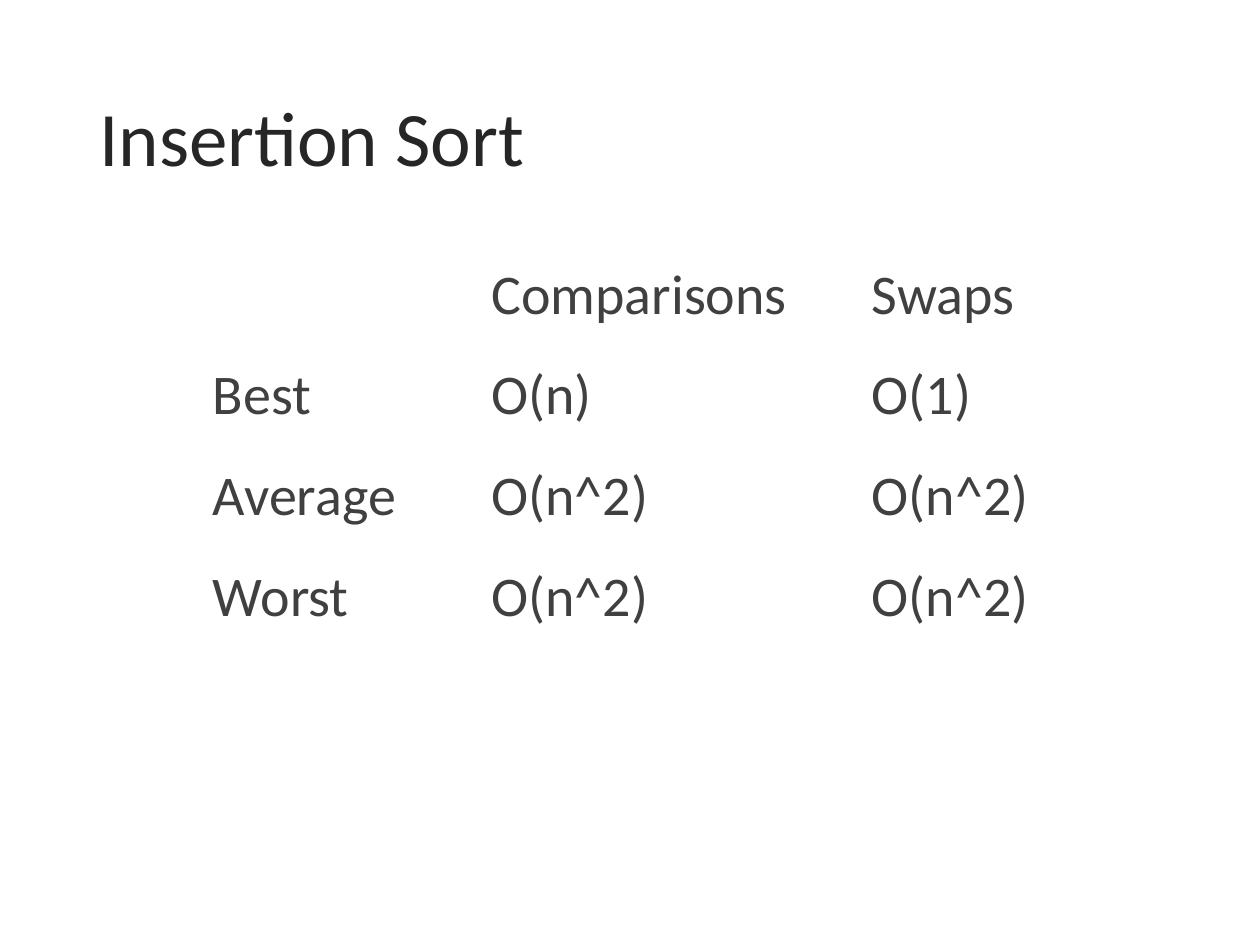
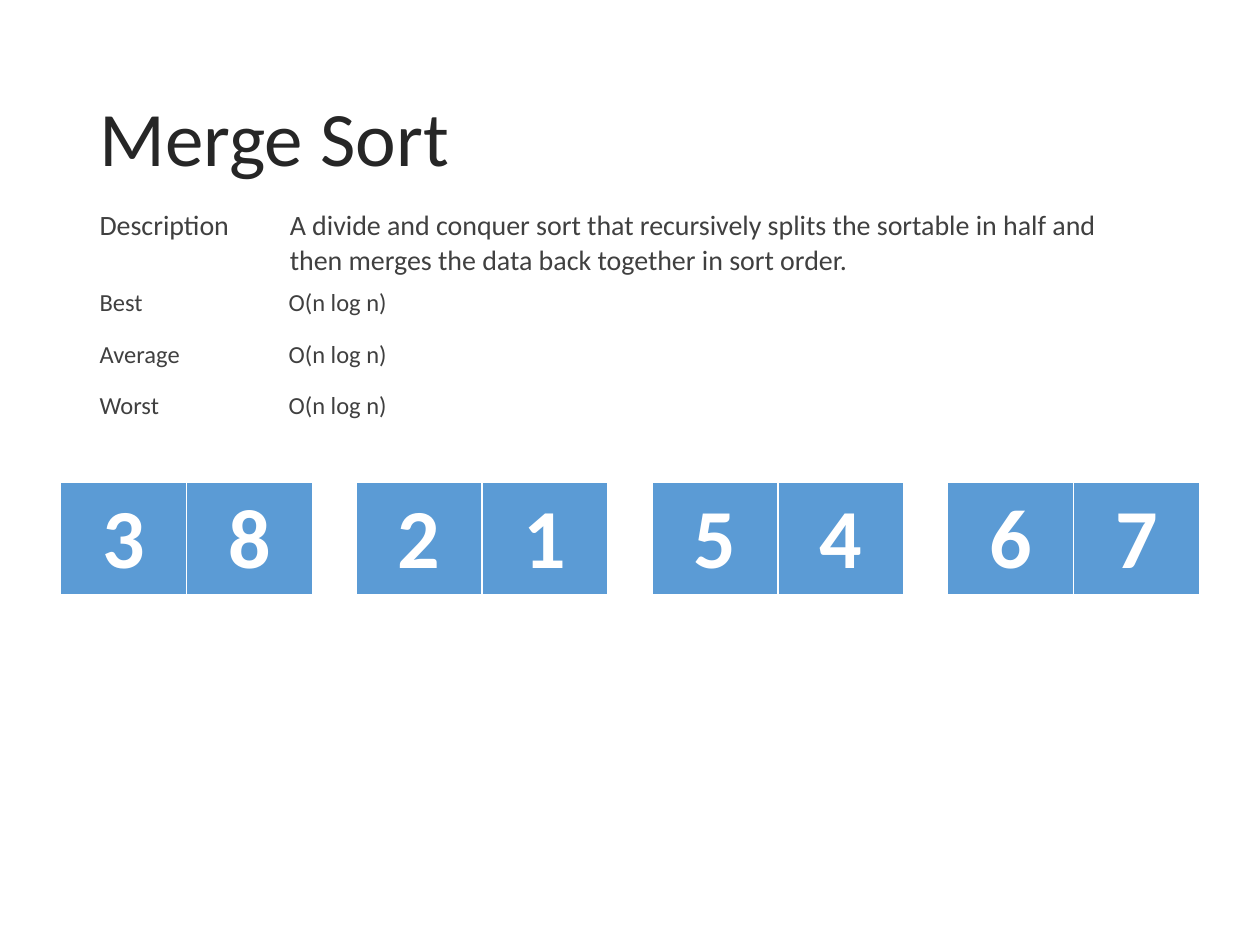
import pptx
import pptx.dml.color
import pptx.enum.text
import pptx.oxml
import pptx.oxml.ns
import pptx.util

INK = pptx.dml.color.RGBColor(0x26, 0x26, 0x26)
GREY = pptx.dml.color.RGBColor(0x40, 0x40, 0x40)
BLUE = pptx.dml.color.RGBColor(0x5B, 0x9B, 0xD5)
WHITE = pptx.dml.color.RGBColor(0xFF, 0xFF, 0xFF)

COLUMNS, ROWS = 100, 75
MARGIN = 6.9
CENTER = pptx.enum.text.PP_ALIGN.CENTER
BORDERS = (("lnL", 1), ("lnR", 1), ("lnT", 1), ("lnB", 3))


class SortDeck:
    font_name = "Calibri"

    def __init__(self):
        self.deck = pptx.Presentation()
        self.deck.slide_width = pptx.util.Inches(10)
        self.deck.slide_height = pptx.util.Inches(7.5)
        self.page = None

    def across(self, columns):
        return round(self.deck.slide_width * columns / COLUMNS)

    def down(self, rows):
        return round(self.deck.slide_height * rows / ROWS)

    def style(self, paragraph, size, color, bold=False):
        paragraph.font.name = self.font_name
        paragraph.font.size = pptx.util.Pt(size)
        paragraph.font.color.rgb = color
        paragraph.font.bold = bold

    def add_page(self, title):
        self.page = self.deck.slides.add_slide(self.deck.slide_layouts[6])
        box = self.page.shapes.add_textbox(
            self.across(MARGIN), self.down(4), self.across(86.2), self.down(14.5))
        frame = box.text_frame
        frame.word_wrap = True
        frame.vertical_anchor = pptx.enum.text.MSO_ANCHOR.MIDDLE
        paragraph = frame.paragraphs[0]
        paragraph.text = title
        paragraph.line_spacing = 0.9
        self.style(paragraph, 44, INK)

    def add_table(self, left, top, widths, height, texts, size,
                  color=GREY, fill=None, bold=False, align=None):
        table = self.page.shapes.add_table(
            len(texts), len(widths), self.across(left), self.down(top),
            self.across(sum(widths)), self.down(height * len(texts))).table
        table.first_row = table.horz_banding = False
        for column, width in zip(table.columns, widths):
            column.width = self.across(width)
        for row, words in zip(table.rows, texts):
            row.height = self.down(height)
            for cell, text in zip(row.cells, words):
                cell.text = text
                paragraph = cell.text_frame.paragraphs[0]
                paragraph.alignment = align
                self.style(paragraph, size, color, bold)
                if fill is None:
                    cell.fill.background()
                else:
                    cell.fill.solid()
                    cell.fill.fore_color.rgb = fill
                    self.add_borders(cell)

    def add_borders(self, cell):
        properties = cell._tc.get_or_add_tcPr()
        for position, (side, width) in enumerate(BORDERS):
            properties.insert(position, pptx.oxml.parse_xml(
                f'<a:{side} {pptx.oxml.ns.nsdecls("a")} w="{pptx.util.Pt(width)}">'
                f'<a:solidFill><a:srgbClr val="{WHITE}"/></a:solidFill></a:{side}>'))

    def add_pairs(self, pairs, top, margin, cell_width):
        pair_width = 2 * cell_width
        pitch = (COLUMNS - 2 * margin - pair_width) / (len(pairs) - 1)
        for index, pair in enumerate(pairs):
            self.add_table(margin + index * pitch, top, [cell_width] * 2, 8.9,
                           [pair], 48, WHITE, BLUE, True, CENTER)


def main():
    sorts = SortDeck()
    cases = ("Best", "Average", "Worst")

    sorts.add_page("Insertion Sort")
    costs = (("O(n)", "O(1)"), ("O(n^2)", "O(n^2)"), ("O(n^2)", "O(n^2)"))
    rows = [("", "Comparisons", "Swaps")]
    rows += [(case, *cost) for case, cost in zip(cases, costs)]
    sorts.add_table(15.9, 20.2, (22.1, 30.2, 15.9), 8, rows, 32)

    sorts.add_page("Merge Sort")
    description = ("A divide and conquer sort that recursively splits the sortable "
                   "in half and then merges the data back together in sort order.")
    sorts.add_table(MARGIN, 16.1, (15.1, 67.2), 6.3, [("Description", description)], 16)
    sorts.add_table(MARGIN, 22.4, (15, 15), 4.06,
                    [(case, "O(n log n)") for case in cases], 14)
    sorts.add_pairs(("38", "21", "54", "67"), 38.3, 4.8, 10)

    sorts.deck.save("out.pptx")


if __name__ == "__main__":
    main()
